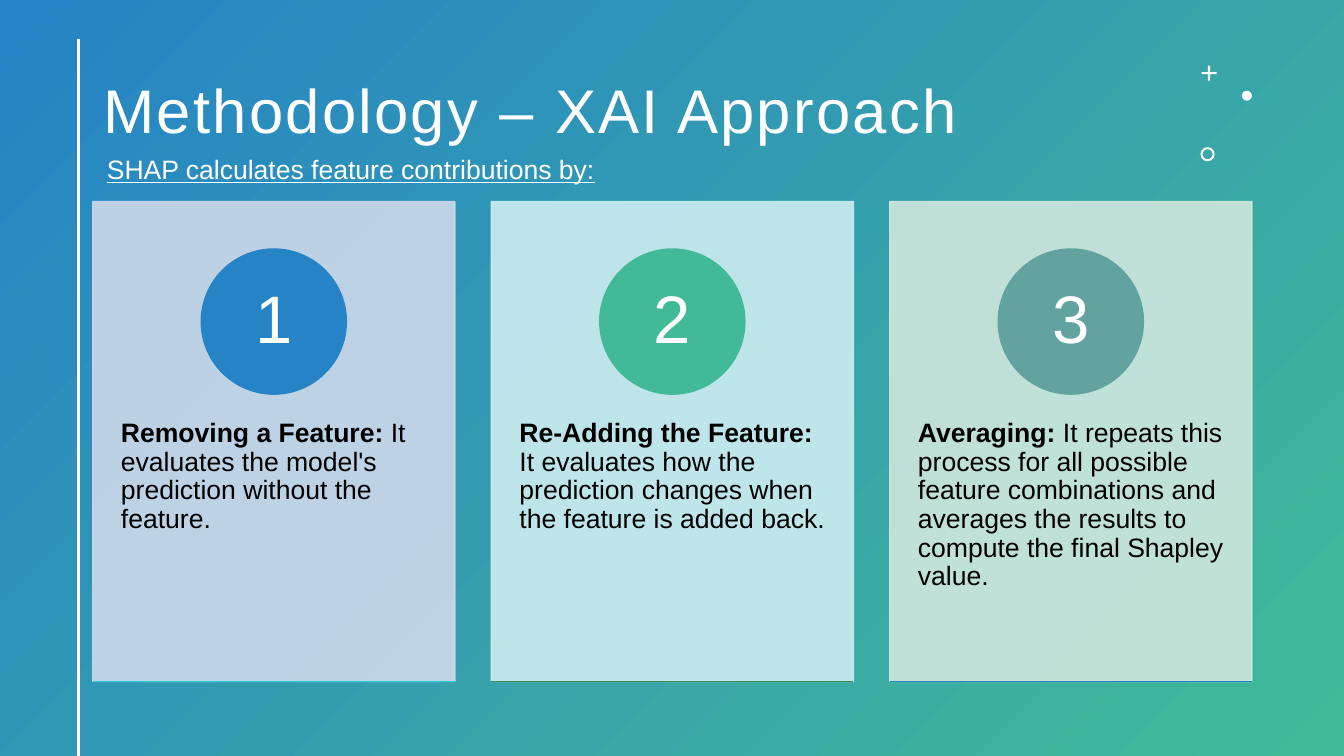
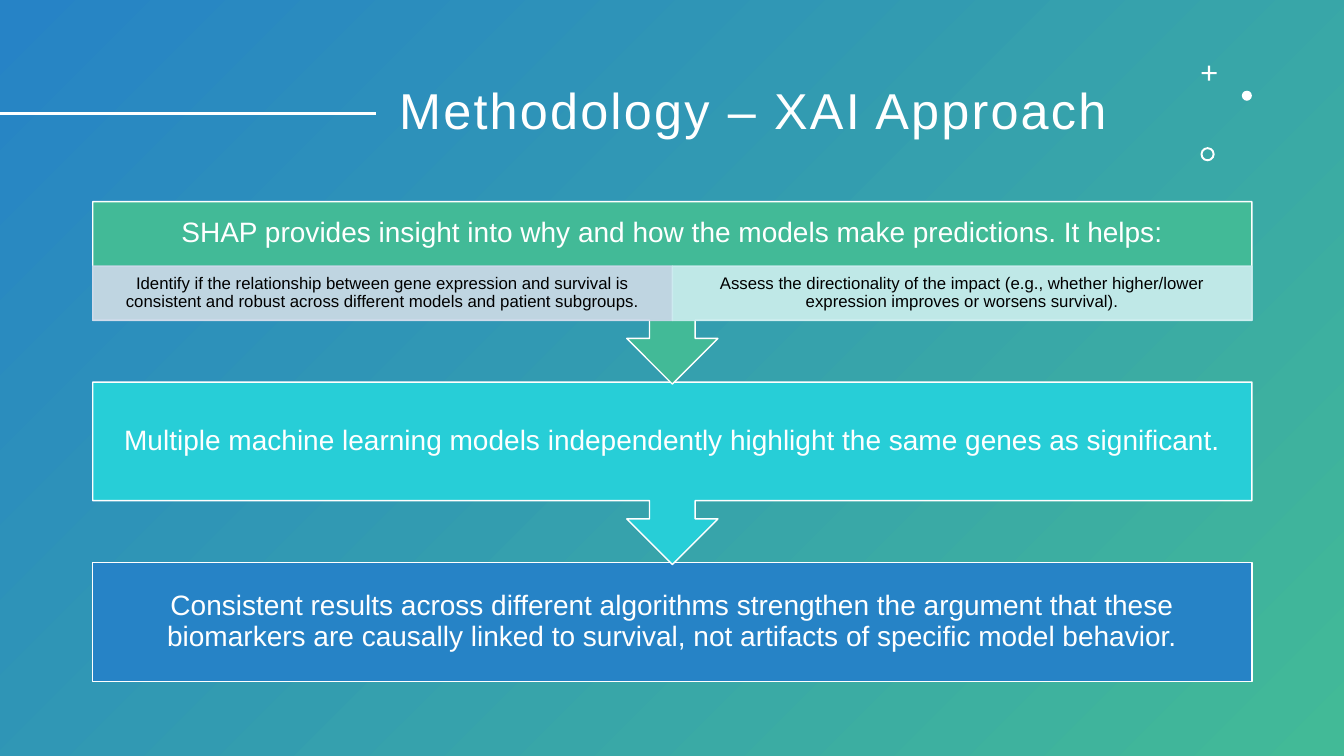
"""Builds two slides on the XAI methodology: SHAP steps and what SHAP shows."""
from lxml.etree import SubElement
from pptx import Presentation
from pptx.dml.color import RGBColor
from pptx.enum.shapes import MSO_CONNECTOR, MSO_SHAPE
from pptx.enum.text import MSO_ANCHOR, PP_ALIGN
from pptx.oxml.ns import qn
from pptx.util import Emu, Inches, Pt

WHITE = RGBColor(0xFF, 0xFF, 0xFF)
BLACK = RGBColor(0x00, 0x00, 0x00)
BLUE = RGBColor(0x26, 0x83, 0xC6)
GREEN = RGBColor(0x42, 0xBA, 0x97)
CYAN = RGBColor(0x27, 0xCE, 0xD7)
FOREST = RGBColor(0x3E, 0x88, 0x53)
TEAL = RGBColor(0x62, 0xA3, 0x9F)
PALE_BLUE = RGBColor(0xCD, 0xD9, 0xEA)
PALE_CYAN = RGBColor(0xCD, 0xED, 0xF0)
PALE_GREEN = RGBColor(0xCF, 0xE7, 0xDD)

FONT = "Arial"
TITLE = "Methodology – XAI Approach"
SLIDE_W, SLIDE_H = Inches(13.333), Inches(7.5)


def across(percent):
    """Share of the slide's width."""
    return Emu(round(SLIDE_W * percent / 100))


def down(percent):
    """Share of the slide's height."""
    return Emu(round(SLIDE_H * percent / 100))


LEFT, WIDTH = across(6.9), across(86.25)
TOP, HEIGHT = down(26.67), down(63.47)

STEPS = [
    ("Removing a Feature:",
     " It evaluates the model's prediction without the feature.",
     PALE_BLUE, BLUE, CYAN),
    ("Re-Adding the Feature:",
     " It evaluates how the prediction changes when the feature is added back.",
     PALE_CYAN, GREEN, FOREST),
    ("Averaging:",
     " It repeats this process for all possible feature combinations and "
     "averages the results to compute the final Shapley value.",
     PALE_GREEN, TEAL, BLUE),
]
FLOW = [
    ("SHAP provides insight into why and how the models make predictions. "
     "It helps:", GREEN),
    ("Multiple machine learning models independently highlight the same genes "
     "as significant.", CYAN),
    ("Consistent results across different algorithms strengthen the argument "
     "that these biomarkers are causally linked to survival, not artifacts of "
     "specific model behavior.", BLUE),
]
INSIGHTS = [
    ("Identify if the relationship between gene expression and survival is "
     "consistent and robust across different models and patient subgroups.",
     PALE_BLUE),
    ("Assess the directionality of the impact (e.g., whether higher/lower "
     "expression improves or worsens survival).", PALE_CYAN),
]


def add_block(slide, kind, box, fill, outline=None, opacity=None):
    """Add a flat preset shape, optionally outlined and translucent."""
    block = slide.shapes.add_shape(kind, *box)
    block.shadow.inherit = False
    block.fill.solid()
    block.fill.fore_color.rgb = fill
    if outline is None:
        block.line.fill.background()
    else:
        block.line.color.rgb = outline
        block.line.width = Pt(1)
    if opacity is not None:
        for colour in list(block._element.spPr.iter(qn("a:srgbClr"))):
            SubElement(colour, qn("a:alpha")).set("val", str(opacity * 1000))
    return block


def add_rule(slide, start, end, colour, weight):
    """Add a straight line without a shadow."""
    rule = slide.shapes.add_connector(MSO_CONNECTOR.STRAIGHT, *start, *end)
    rule.line.color.rgb = colour
    rule.line.width = Pt(weight)
    SubElement(rule._element.spPr, qn("a:effectLst"))


def write(shape, text, size, colour, align=PP_ALIGN.CENTER,
          anchor=MSO_ANCHOR.MIDDLE, insets=(0, 0, 0, 0), lead=None):
    """Write one paragraph, led by bold words if given; insets go left, top, right, bottom."""
    frame = shape.text_frame
    frame.word_wrap = True
    frame.vertical_anchor = anchor
    (frame.margin_left, frame.margin_top,
     frame.margin_right, frame.margin_bottom) = insets
    paragraph = frame.paragraphs[0]
    paragraph.alignment = align
    paragraph.line_spacing = 0.9
    paragraph.font.name = FONT
    paragraph.font.size = Pt(size)
    paragraph.font.color.rgb = colour
    if lead:
        opening = paragraph.add_run()
        opening.text = lead
        opening.font.bold = True
    paragraph.add_run().text = text
    return paragraph


def add_label(slide, box, text, size, **layout):
    """Add white left-aligned text on the background."""
    label = slide.shapes.add_textbox(*box)
    return write(label, text, size, WHITE, align=PP_ALIGN.LEFT, **layout)


def add_ornaments(slide):
    """Add the plus, dot and ring in the top right corner."""
    plus_size, dot_size, ring_size = down(2), down(1.33), down(1.87)
    plus = add_block(slide, MSO_SHAPE.CROSS,
                     (across(89.4), down(8.67), plus_size, plus_size), WHITE)
    plus.adjustments[0] = 0.43
    add_block(slide, MSO_SHAPE.OVAL,
              (across(92.4), down(12), dot_size, dot_size), WHITE)
    ring = add_block(slide, MSO_SHAPE.DONUT,
                     (across(89.33), down(19.47), ring_size, ring_size), WHITE)
    ring.adjustments[0] = 0.14


def add_base_slide(deck, title_left, title_width, title_size):
    """Add a slide with the gradient, title and ornaments."""
    slide = deck.slides.add_slide(deck.slide_layouts[6])
    backdrop = slide.background.fill
    backdrop.gradient()
    backdrop.gradient_angle = 315
    for stop, colour, place in zip(backdrop.gradient_stops, (BLUE, GREEN), (0, 1)):
        stop.color.rgb = colour
        stop.position = place
    title = add_label(slide, (title_left, down(5.33), title_width, down(19.33)),
                      TITLE, title_size, insets=(across(0.8), 0, across(0.8), 0))
    title.font._element.set("spc", "160")
    add_ornaments(slide)
    return slide


def add_step(slide, left, width, number, step):
    """Add a card with a numbered disc, its text and a base line."""
    lead, text, tint, accent, base = step
    side = across(2.1)
    card = add_block(slide, MSO_SHAPE.RECTANGLE, (left, TOP, width, HEIGHT),
                     tint, tint, opacity=90)
    write(card, text, 19, BLACK, PP_ALIGN.LEFT, MSO_ANCHOR.TOP,
          (side, down(28.8), side, 0), lead)
    disc_size = down(19.2)
    disc = add_block(slide, MSO_SHAPE.OVAL,
                     (left + (width - disc_size) // 2, TOP + down(6.27),
                      disc_size, disc_size), accent, accent)
    write(disc, str(number), 48, WHITE)
    bottom = TOP + HEIGHT
    add_rule(slide, (left, bottom), (left + width, bottom), base, 1)


def build_steps(deck):
    """Build the slide with the three SHAP steps."""
    slide = add_base_slide(deck, LEFT, across(80.4), 44)
    margin_line = across(5.85)
    add_rule(slide, (margin_line, down(5.2)), (margin_line, SLIDE_H), WHITE, 2)
    card_width = across(26.95)
    pitch = (WIDTH - card_width) // (len(STEPS) - 1)
    for index, step in enumerate(STEPS):
        add_step(slide, LEFT + index * pitch, card_width, index + 1, step)
    subtitle = add_label(slide, (across(7.95), down(20.67), across(51.6), down(5)),
                         "SHAP calculates feature contributions by:", 19,
                         anchor=MSO_ANCHOR.TOP)
    subtitle.font.underline = True


def build_flow(deck):
    """Build the slide with the chain of findings."""
    slide = add_base_slide(deck, across(28.9), across(58.7), 36)
    add_rule(slide, (0, down(15)), (across(28), down(15)), WHITE, 2)
    band, callout, panel = down(15.73), down(24.13), down(7.2)
    pitch = (HEIGHT - band) // (len(FLOW) - 1)
    pad = across(1.2)
    for index, (text, colour) in reversed(list(enumerate(FLOW))):
        last = index == len(FLOW) - 1
        kind = MSO_SHAPE.RECTANGLE if last else MSO_SHAPE.DOWN_ARROW_CALLOUT
        stage = add_block(slide, kind,
                          (LEFT, TOP + index * pitch, WIDTH,
                           band if last else callout), colour, WHITE)
        write(stage, text, 20, WHITE,
              insets=(pad, 0, pad, panel if index == 0 else 0))
    half = WIDTH // len(INSIGHTS)
    side = across(0.7)
    for index, (text, tint) in enumerate(INSIGHTS):
        insight = add_block(slide, MSO_SHAPE.RECTANGLE,
                            (LEFT + index * half, TOP + band - panel, half, panel),
                            tint, tint, opacity=90)
        write(insight, text, 12, BLACK, insets=(side, 0, side, 0))


def main():
    """Build and save the deck."""
    deck = Presentation()
    deck.slide_width, deck.slide_height = SLIDE_W, SLIDE_H
    build_steps(deck)
    build_flow(deck)
    deck.save("out.pptx")


if __name__ == "__main__":
    main()
